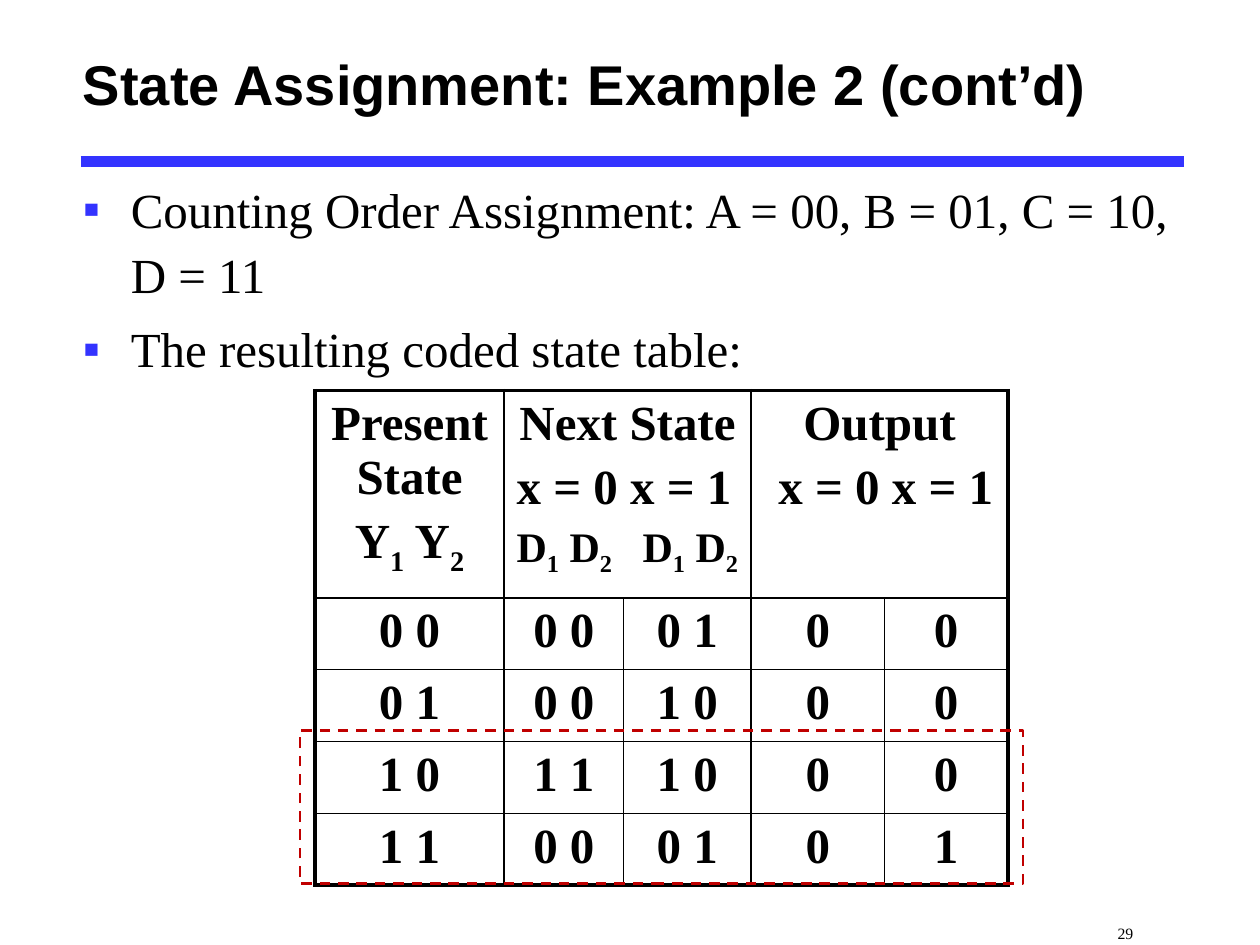
import pptx
import pptx.dml.color
import pptx.enum.dml
import pptx.enum.shapes
import pptx.enum.text
import pptx.oxml.ns
import pptx.util
from lxml import etree
from pptx.util import Inches

COLORS = {"ink": "000000", "accent": "3333FF", "highlight": "C00000"}
SERIF = "Times New Roman"
ALIGN = pptx.enum.text.PP_ALIGN
ANCHOR = pptx.enum.text.MSO_ANCHOR
COLUMN_WIDTHS = [1.5, 0.95, 1.01, 1.06, 0.98]
ROW_HEIGHTS = [1.61] + [0.57] * 4
CODED_STATES = [
    ["0 0", "0 0", "0 1", "0", "0"],
    ["0 1", "0 0", "1 0", "0", "0"],
    ["1 0", "1 1", "1 0", "0", "0"],
    ["1 1", "0 0", "0 1", "0", "1"],
]
HEADINGS = {
    0: [("Present State", {}), ("Y~1~ Y~2~", {})],
    1: [
        ("Next State", {}),
        ("x = 0 x = 1", {"align": ALIGN.LEFT}),
        ("D~1~ D~2~\tD~1~ D~2~", {"align": ALIGN.LEFT, "size": 24, "tab": 0.93}),
    ],
    3: [("Output", {}), ("x = 0 x = 1", {"indent": 0.1})],
}


def rgb(name):
    """Return the named colour."""
    return pptx.dml.color.RGBColor.from_string(COLORS[name])


def add_xml(parent, tag, **attributes):
    """Append a drawing element to its parent and return it."""
    return etree.SubElement(parent, pptx.oxml.ns.qn(f"a:{tag}"), attributes)


def write(frame, text, first=True, size=28, font=SERIF, bold=False, align=ALIGN.LEFT,
          before=5.6, spacing=None, bullet=None, indent=0, tab=None):
    """Write one paragraph, with subscripts enclosed in tildes."""
    paragraph = frame.paragraphs[0] if first else frame.add_paragraph()
    paragraph.alignment = align
    paragraph.line_spacing = spacing
    paragraph.space_before = pptx.util.Pt(0 if first else before)
    properties = paragraph._p.get_or_add_pPr()
    properties.set("marL", str(Inches(indent)))
    properties.set("indent", str(-Inches(indent) if bullet else 0))
    if bullet:
        add_xml(add_xml(properties, "buClr"), "srgbClr", val=COLORS["accent"])
        add_xml(properties, "buFont", typeface="Arial")
        add_xml(properties, "buChar", char=bullet)
    if tab:
        add_xml(add_xml(properties, "tabLst"), "tab", pos=str(Inches(tab)), algn="l")
    for position, part in enumerate(text.split("~")):
        if not part:
            continue
        run = paragraph.add_run()
        run.text = part
        run.font.size = pptx.util.Pt(size)
        run.font.name = font
        run.font.bold = bold
        run.font.color.rgb = rgb("ink")
        if position % 2:
            run.font._element.set("baseline", "-25000")


def add_frame(slide, left, top, width, height, anchor=ANCHOR.TOP):
    """Add a wrapping text box and return its text frame."""
    frame = slide.shapes.add_textbox(
        Inches(left), Inches(top), Inches(width), Inches(height)).text_frame
    frame.word_wrap = True
    frame.vertical_anchor = anchor
    return frame


def add_heading(slide, left, top, width, height):
    """Add the title and the rule under it."""
    title = add_frame(slide, left, top, width, height, ANCHOR.MIDDLE)
    write(title, "State Assignment: Example 2 (cont’d)", size=32, font="Arial", bold=True)
    rule_left, rule_top = left + 0.08, top + 1.18
    rule = slide.shapes.add_connector(
        pptx.enum.shapes.MSO_CONNECTOR.STRAIGHT, Inches(rule_left), Inches(rule_top),
        Inches(rule_left + 8.76), Inches(rule_top))
    rule.line.color.rgb = rgb("accent")
    rule.line.width = pptx.util.Pt(6)
    add_xml(rule._element.spPr, "effectLst")


def add_points(slide, left, top, width, height):
    """Add the bulleted points."""
    points = add_frame(slide, left, top, width, height)
    lines = ["Counting Order Assignment: A = 00, B = 01, C = 10, D = 11",
             "The resulting coded state table:"]
    for index, line in enumerate(lines):
        write(points, line, first=index == 0, bullet="▪", indent=0.38, spacing=1.1)


def style_cell(cell, outer_sides):
    """Draw the borders of a cell, heavier on its outer sides, and clear its fill."""
    properties = cell._tc.get_or_add_tcPr()
    for side in "LRTB":
        weight = pptx.util.Pt(2.25 if side in outer_sides else 1)
        border = add_xml(properties, f"ln{side}", w=str(weight))
        add_xml(add_xml(border, "solidFill"), "srgbClr", val=COLORS["ink"])
    cell.fill.background()


def add_state_table(slide, left, top):
    """Add the coded state table."""
    rows, columns = len(ROW_HEIGHTS), len(COLUMN_WIDTHS)
    table = slide.shapes.add_table(
        rows, columns, Inches(left), Inches(top),
        Inches(sum(COLUMN_WIDTHS)), Inches(sum(ROW_HEIGHTS))).table
    table.first_row = table.horz_banding = False
    for column, width in zip(table.columns, COLUMN_WIDTHS):
        column.width = Inches(width)
    for row, height in zip(table.rows, ROW_HEIGHTS):
        row.height = Inches(height)
    for start in (1, 3):
        table.cell(0, start).merge(table.cell(0, start + 1))
    for r in range(rows):
        for c in range(columns):
            cell = table.cell(r, c)
            edges = {"L": c == 0, "R": c == columns - 1, "T": r == 0, "B": r == rows - 1}
            if r == 0 and c == 3:
                edges["R"] = True
            style_cell(cell, [side for side, outer in edges.items() if outer])
            lines = HEADINGS.get(c, []) if r == 0 else [(CODED_STATES[r - 1][c], {})]
            for index, (text, style) in enumerate(lines):
                write(cell.text_frame, text, first=index == 0,
                      **{"bold": True, "align": ALIGN.CENTER, **style})


def add_highlight(slide, left, top, width, height):
    """Outline the last two states with dashes."""
    outline = slide.shapes.add_shape(
        pptx.enum.shapes.MSO_SHAPE.RECTANGLE,
        Inches(left), Inches(top), Inches(width), Inches(height))
    outline.shadow.inherit = False
    outline.fill.background()
    outline.line.color.rgb = rgb("highlight")
    outline.line.width = pptx.util.Pt(1.5)
    outline.line.dash_style = pptx.enum.dml.MSO_LINE.DASH


def add_page_number(slide, left, top, width, height):
    """Add the page number."""
    number = add_frame(slide, left, top, width, height, ANCHOR.BOTTOM)
    number.margin_left = Inches(0.97)
    number.margin_bottom = Inches(0.02)
    write(number, "29", size=9)


def main():
    """Build and save the slide."""
    deck = pptx.Presentation()
    deck.slide_width, deck.slide_height = Inches(10), Inches(7.5)
    slide = deck.slides.add_slide(deck.slide_layouts[6])
    add_heading(slide, 0.56, 0.1, 9.05, 1.12)
    add_points(slide, 0.56, 1.33, 9.16, 1.88)
    add_page_number(slide, 7.9, 7.12, 2.1, 0.38)
    add_state_table(slide, 2.5, 3.1)
    add_highlight(slide, 2.38, 5.8, 5.74, 1.21)
    deck.save("out.pptx")


if __name__ == "__main__":
    main()
